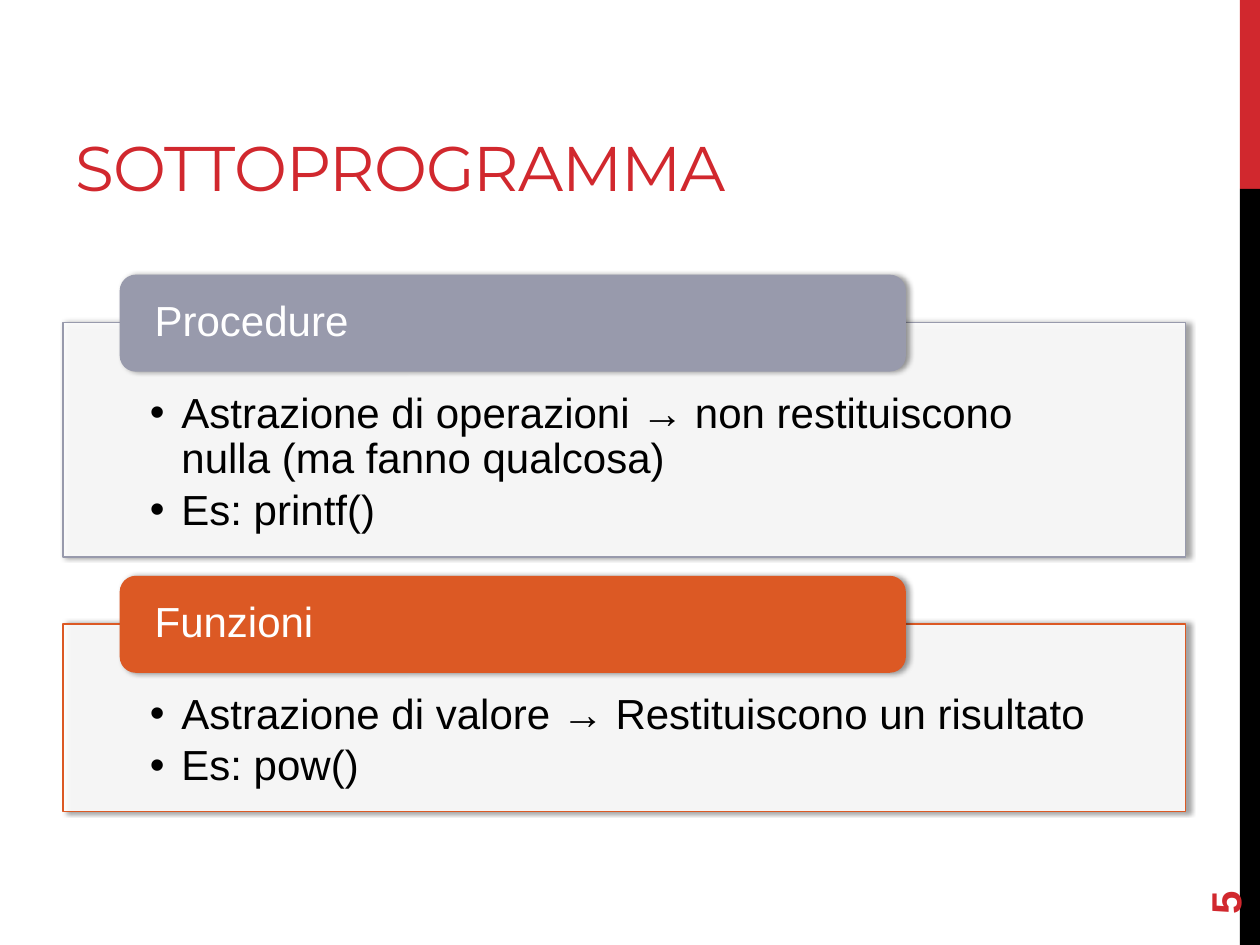
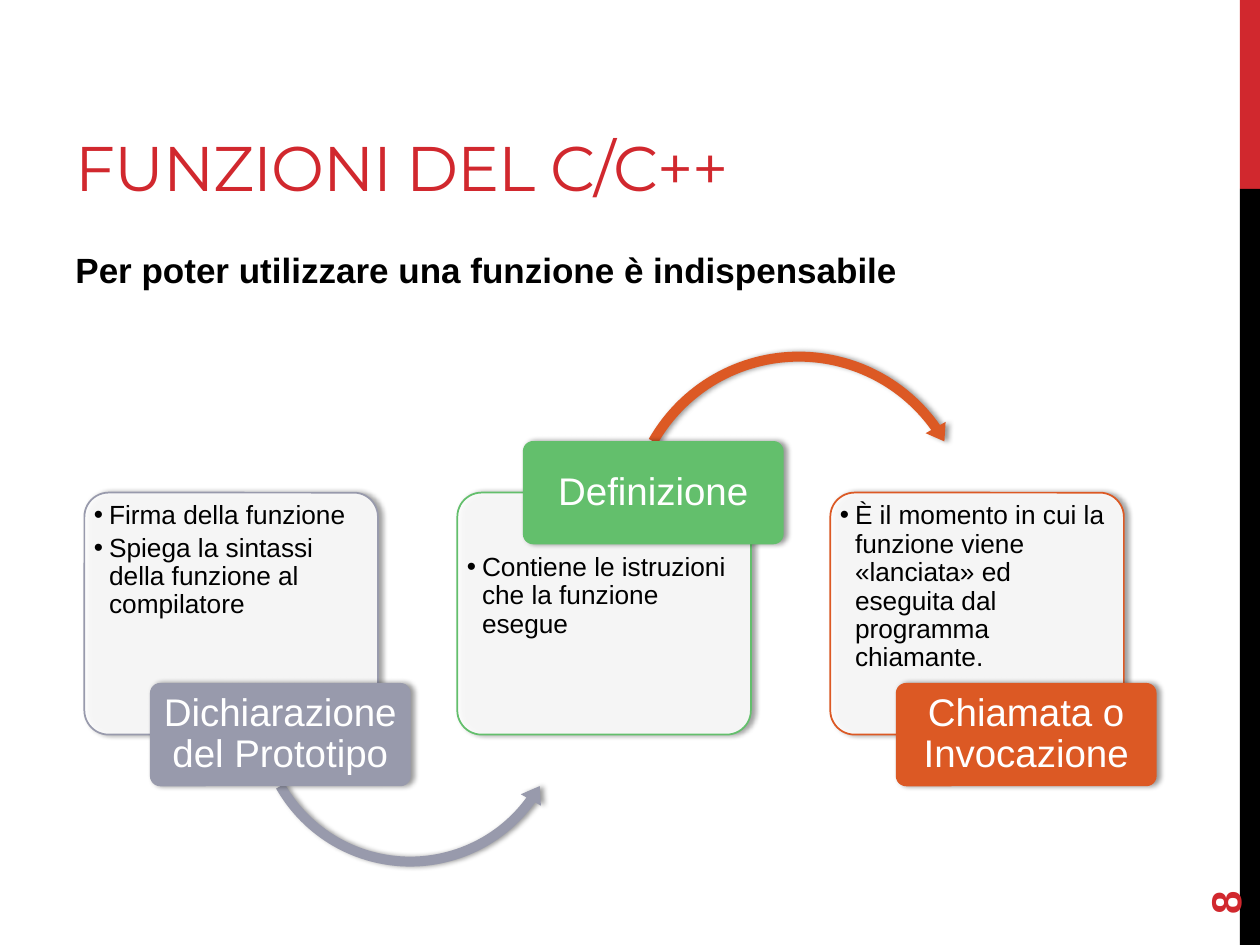
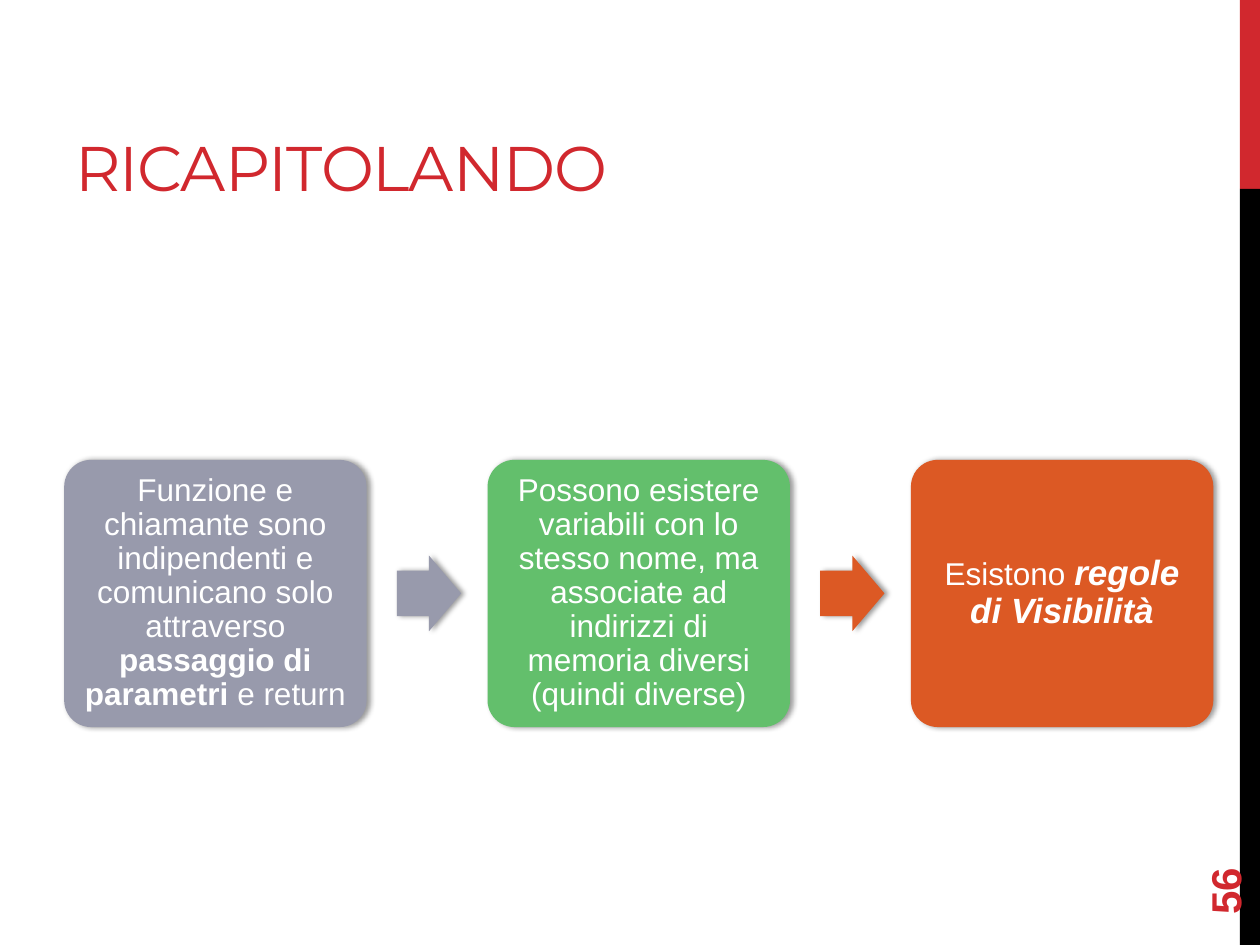
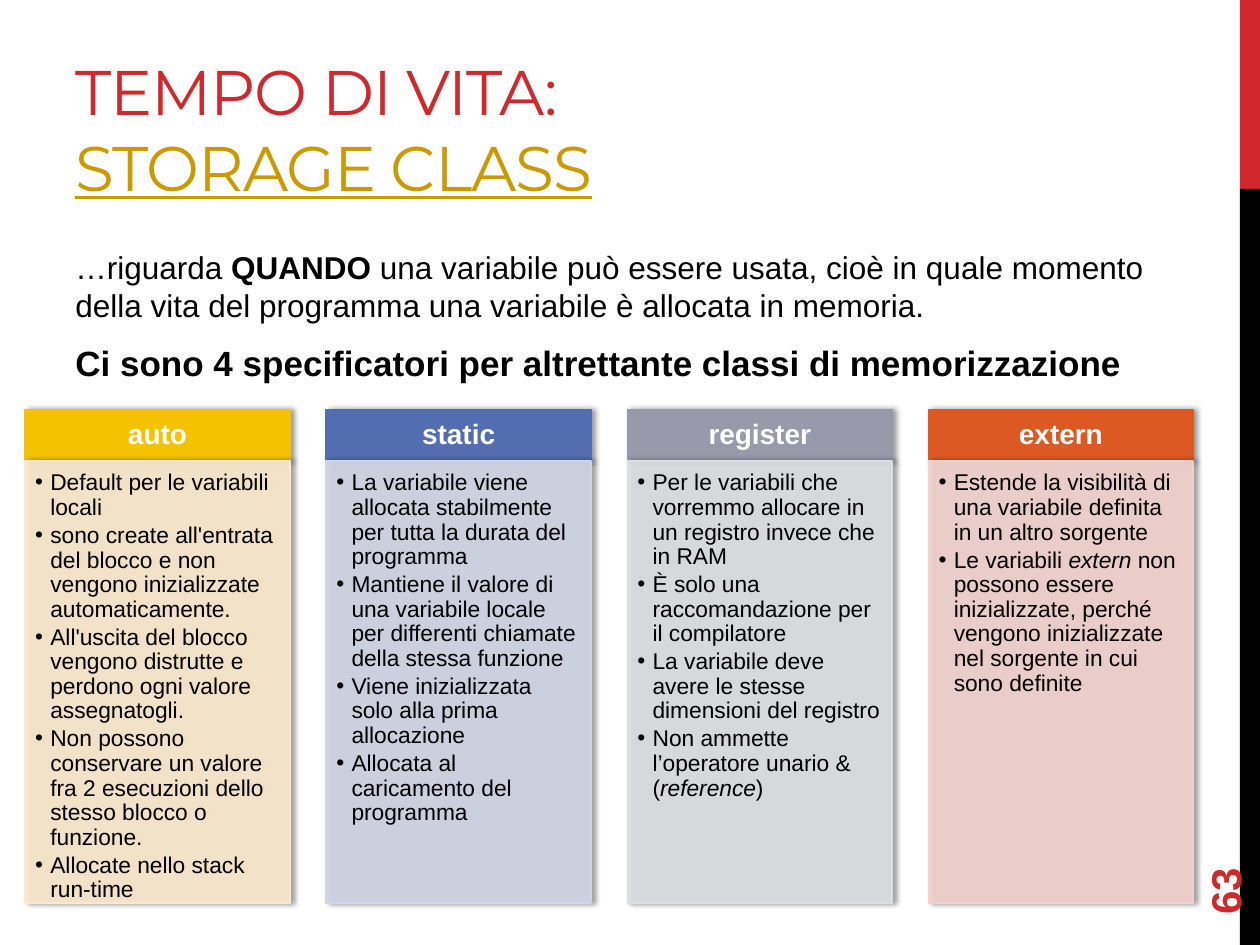
from dataclasses import dataclass

from lxml import etree
from pptx import Presentation, util as u
from pptx.dml.color import RGBColor
from pptx.enum import shapes, text
from pptx.oxml.ns import qn

SHAPE, ALIGN, ANCHOR = shapes.MSO_SHAPE, text.PP_ALIGN, text.MSO_ANCHOR


@dataclass(frozen=True)
class Theme:
    red: str = "D1282E"
    black: str = "000000"
    white: str = "FFFFFF"
    gray: str = "989AAC"
    green: str = "63BF6C"
    orange: str = "DC5924"
    gold: str = "CC9900"
    yellow: str = "F5C201"
    blue: str = "526DB0"
    yellow_tint: str = "FBE9CC"
    blue_tint: str = "D1D4E4"
    gray_tint: str = "DDDEE3"
    orange_tint: str = "F2D1CD"
    title_font: str = "Montserrat"
    body_font: str = "Arial"
    title: int = 36
    large: int = 24
    label: int = 22
    lead: int = 20
    body: int = 18
    heading: int = 16
    note: int = 15
    small: int = 13


T = Theme()
BOLD, ITALIC = {"bold": True}, {"italic": True}

# A paragraph is a string, or a list of strings and (string, style) pairs.
SUBPROGRAMS = [
    ("Procedure", T.gray, 1.86,
     ["Astrazione di operazioni → non restituiscono nulla (ma fanno qualcosa)",
      "Es: printf()"]),
    ("Funzioni", T.orange, 1.49,
     ["Astrazione di valore → Restituiscono un risultato", "Es: pow()"]),
]
FUNCTION_LEAD = [[("Per poter utilizzare una funzione è indispensabile",
                   {**BOLD, "size": T.lead})]]
FUNCTION_STEPS = [
    ("Dichiarazione del Prototipo", T.gray, False,
     ["Firma della funzione", "Spiega la sintassi della funzione al compilatore"]),
    ("Definizione", T.green, True,
     ["Contiene le istruzioni che la funzione esegue"]),
    ("Chiamata o Invocazione", T.orange, False,
     ["È il momento in cui la funzione viene «lanciata» ed eseguita dal "
      "programma chiamante."]),
]
# One arrow leaves each step but the last: preset, place, colour, adjustments
STEP_ARROWS = [
    (SHAPE.LEFT_CIRCULAR_ARROW, (1.98, 4.38, 2.55, 2.55), T.gray,
     (0.031, 3.794, 21.549, 90.245, 0.036)),
    (SHAPE.CIRCULAR_ARROW, (4.92, 2.74, 2.84, 2.84), T.orange,
     (0.028, 3.372, 194.873, 125.755, 0.032)),
]
RECAP = [
    (T.gray, ["Funzione e chiamante sono indipendenti e comunicano solo attraverso ",
              ("passaggio di parametri ", BOLD), "e return"]),
    (T.green, "Possono esistere variabili con lo stesso nome, ma associate ad "
              "indirizzi di memoria diversi (quindi diverse)"),
    (T.orange, ["Esistono ", ("regole di Visibilità",
                              {**BOLD, **ITALIC, "size": T.lead})]),
]
RECAP_ARROWS = [T.gray, T.orange]
STORAGE_LEAD = [
    ["…riguarda ", ("QUANDO", BOLD),
     " una variabile può essere usata, cioè in quale momento della vita del "
     "programma una variabile è allocata in memoria."],
    [("Ci sono 4 specificatori per altrettante classi di memorizzazione",
      {**BOLD, "size": T.lead})],
]
STORAGE_CLASSES = [
    ("auto", T.yellow, T.yellow_tint,
     ["Default per le variabili locali",
      "sono create all'entrata del blocco e non vengono inizializzate "
      "automaticamente.",
      "All'uscita del blocco vengono distrutte e perdono ogni valore assegnatogli.",
      "Non possono conservare un valore fra 2 esecuzioni dello stesso blocco o "
      "funzione.",
      "Allocate nello stack run-time"]),
    ("static", T.blue, T.blue_tint,
     ["La variabile viene allocata stabilmente per tutta la durata del programma",
      "Mantiene il valore di una variabile locale per differenti chiamate della "
      "stessa funzione",
      "Viene inizializzata solo alla prima allocazione",
      "Allocata al caricamento del programma"]),
    ("register", T.gray, T.gray_tint,
     ["Per le variabili che vorremmo allocare in un registro invece che in RAM",
      "È solo una raccomandazione per il compilatore",
      "La variabile deve avere le stesse dimensioni del registro",
      ["Non ammette l’operatore unario & (", ("reference", ITALIC), ")"]]),
    ("extern", T.orange, T.orange_tint,
     ["Estende la visibilità di una variabile definita in un altro sorgente",
      ["Le variabili ", ("extern ", ITALIC),
       "non possono essere inizializzate, perché vengono inizializzate nel "
       "sorgente in cui sono definite"]]),
]


def inches(values):
    return [u.Inches(value) for value in values]


def style_run(run, style):
    for key, value in style.items():
        if key == "color":
            run.font.color.rgb = RGBColor.from_string(value)
        elif key == "tracking":
            run.font._element.set("spc", str(value))
        else:
            setattr(run.font, key, u.Pt(value) if key == "size" else value)


def write(shape, paragraphs, size, color=T.black, font=T.body_font, bullet=0,
          insets=(0.1, 0.05, 0.1, 0.05), anchor=ANCHOR.TOP, style=None, **spacing):
    """Fill a shape with text; bullet is the hanging indent, 0 for no bullets."""
    frame = shape.text_frame
    margins = zip(("left", "top", "right", "bottom"), inches(insets))
    layout = {"word_wrap": True, "vertical_anchor": anchor,
              **{f"margin_{side}": margin for side, margin in margins}}
    for key, value in layout.items():
        setattr(frame, key, value)
    base = {"name": font, "size": size, "color": color, **(style or {})}
    for index, pieces in enumerate(paragraphs):
        paragraph = frame.add_paragraph() if index else frame.paragraphs[0]
        if bullet:
            add_bullet(paragraph, bullet)
        for key, value in {"alignment": ALIGN.LEFT, **spacing}.items():
            if key != "space_before" or index:
                setattr(paragraph, key, value)
        for piece in [pieces] if isinstance(pieces, str) else pieces:
            words, extra = (piece, {}) if isinstance(piece, str) else piece
            run = paragraph.add_run()
            run.text = words
            style_run(run, {**base, **extra})


def add_bullet(paragraph, indent):
    paragraph.level = 1
    properties = paragraph._p.get_or_add_pPr()
    properties.set("marL", str(u.Inches(indent)))
    properties.set("indent", str(-u.Inches(indent)))
    etree.SubElement(properties, qn("a:buFont"), typeface="Arial")
    etree.SubElement(properties, qn("a:buChar"), char="•")


def write_bullets(shape, points, size, indent, insets):
    write(shape, points, size, bullet=indent, insets=insets,
          line_spacing=0.9, space_after=u.Pt(round(size * 0.15, 1)))


def write_label(shape, label, size, insets, alignment=ALIGN.CENTER, style=None):
    write(shape, [label], size, T.white, insets=insets, anchor=ANCHOR.MIDDLE,
          style=style, alignment=alignment, line_spacing=0.9)


def add_block(slide, preset, place, fill, line=None, adjustments=(),
              opacity=None, shadow=True):
    block = slide.shapes.add_shape(preset, *inches(place))
    for index, value in enumerate(adjustments):
        block.adjustments[index] = value
    block.fill.solid()
    block.fill.fore_color.rgb = RGBColor.from_string(fill)
    if line:
        block.line.color.rgb = RGBColor.from_string(line)
        block.line.width = u.Pt(1)
    else:
        block.line.fill.background()
    properties = block.element.spPr
    if opacity:
        set_opacity(properties.find(qn("a:solidFill"))[0], opacity)
    block.shadow.inherit = False
    if shadow:
        outer = etree.SubElement(properties.find(qn("a:effectLst")), qn("a:outerShdw"),
                                 blurRad="39000", dist="23000", dir="0", rotWithShape="0")
        set_opacity(etree.SubElement(outer, qn("a:srgbClr"), val=T.black), 40)
    return block


def set_opacity(color, percent):
    etree.SubElement(color, qn("a:alpha"), val=str(percent * 1000))


def add_text(slide, place, paragraphs, size, **options):
    box = slide.shapes.add_textbox(*inches(place))
    write(box, paragraphs, size, **options)
    return box


def add_lead(slide, paragraphs):
    add_text(slide, (0.5, 1.92, 8.75, 1.3), paragraphs, T.body,
             space_before=u.Pt(4), space_after=u.Pt(6))


def start_slide(deck, title, number):
    """Add a slide with the side bands, the title and the slide number."""
    slide = deck.slides.add_slide(deck.slide_layouts[6])
    for top, height, color in ((0, 1.5, T.red), (1.5, 6, T.black)):
        add_block(slide, SHAPE.RECTANGLE, (9.84, top, 0.16, height), color, shadow=False)
    add_text(slide, (0.5, 0.17, 6.33, 1.5), [title], T.title, color=T.red,
             font=T.title_font, anchor=ANCHOR.BOTTOM, style={"tracking": -60})
    page = add_text(slide, (9, 6.44, 1.44, 0.4), [str(number)], T.large,
                    color=T.red, anchor=ANCHOR.MIDDLE, style=BOLD)
    page.rotation = 270
    return slide


def build_subprograms(deck):
    slide = start_slide(deck, "SOTTOPROGRAMMA", 5)
    top, gap = 2.56, 0.53
    for name, color, height, points in SUBPROGRAMS:
        card = add_block(slide, SHAPE.RECTANGLE, (0.5, top, 8.91, height), T.white,
                         line=color, opacity=90)
        write_bullets(card, points, T.large, 0.25, (0.69, 0.55, 0.69, 0.19))
        tab = add_block(slide, SHAPE.ROUNDED_RECTANGLE, (0.95, top - 0.38, 6.24, 0.77), color)
        write_label(tab, name, T.large, (0.24, 0, 0.24, 0), ALIGN.LEFT)
        top += height + gap


def build_function_steps(deck):
    slide = start_slide(deck, "FUNZIONI DEL C/C++", 8)
    add_lead(slide, FUNCTION_LEAD)
    for index, (name, color, tab_above, points) in enumerate(FUNCTION_STEPS):
        left = 0.67 + 2.96 * index
        card = add_block(slide, SHAPE.ROUNDED_RECTANGLE, (left, 3.91, 2.33, 1.92), T.white,
                         line=color, adjustments=[0.1], opacity=90)
        clear, edge = 0.43, 0.02
        top, bottom = (clear, edge) if tab_above else (edge, clear)
        write_bullets(card, points, T.note, 0.12, (edge, top, edge, bottom))
        for preset, place, fill, adjustments in STEP_ARROWS[index:index + 1]:
            add_block(slide, preset, place, fill, adjustments=adjustments)
        tab = add_block(slide, SHAPE.ROUNDED_RECTANGLE,
                        (left + 0.52, 3.5 if tab_above else 5.42, 2.07, 0.82),
                        color, adjustments=[0.1])
        write_label(tab, name, T.label, (0.05, 0.03, 0.05, 0.03))


def build_recap(deck):
    slide = start_slide(deck, "RICAPITOLANDO", 56)
    for index, (color, statement) in enumerate(RECAP):
        left = 0.51 + 3.36 * index
        card = add_block(slide, SHAPE.ROUNDED_RECTANGLE, (left, 3.65, 2.4, 2.12), color,
                         adjustments=[0.1])
        write_label(card, statement, T.body, [0.07] * 4)
        for fill in RECAP_ARROWS[index:index + 1]:
            add_block(slide, SHAPE.RIGHT_ARROW, (left + 2.64, 4.41, 0.51, 0.6), fill,
                      adjustments=(0.6, 0.5))


def build_storage_classes(deck):
    title = ["TEMPO DI VITA: ", ("STORAGE CLASS", {"color": T.gold, "underline": True})]
    slide = start_slide(deck, title, 63)
    add_lead(slide, STORAGE_LEAD)
    for index, (name, color, tint, points) in enumerate(STORAGE_CLASSES):
        left = 0.2 + 2.39 * index
        heading = add_block(slide, SHAPE.RECTANGLE, (left, 3.25, 2.1, 0.41), color, line=color)
        write_label(heading, name, T.heading, (0.12, 0.07, 0.12, 0.07), style=BOLD)
        details = add_block(slide, SHAPE.RECTANGLE, (left, 3.66, 2.1, 3.51), tint,
                            line=tint, opacity=90)
        write_bullets(details, points, T.small, 0.12, (0.08, 0.08, 0.1, 0.11))


def main():
    deck = Presentation()
    deck.slide_width, deck.slide_height = inches((10, 7.5))
    for build in (build_subprograms, build_function_steps, build_recap,
                  build_storage_classes):
        build(deck)
    deck.save("out.pptx")


if __name__ == "__main__":
    main()
